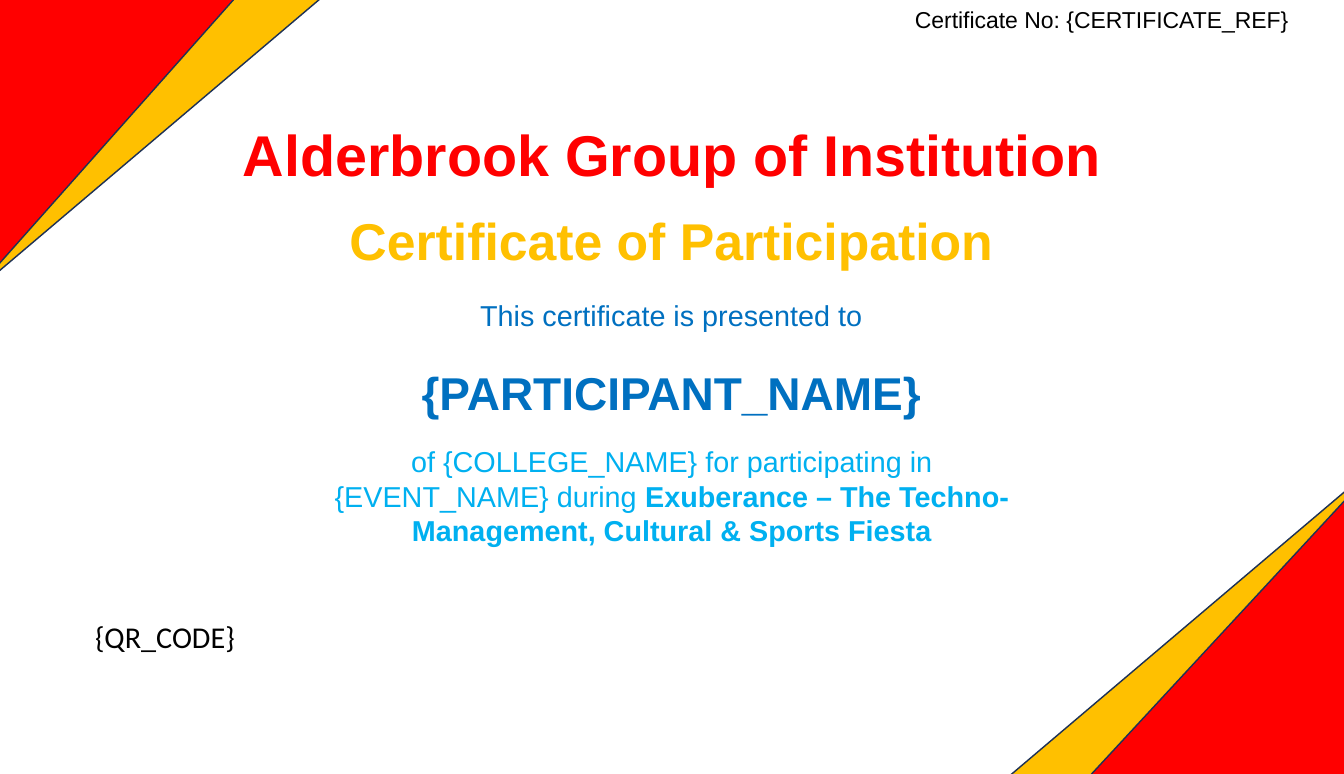
from dataclasses import dataclass

from pptx import Presentation
from pptx.dml.color import RGBColor
from pptx.enum.shapes import MSO_SHAPE
from pptx.enum.text import MSO_ANCHOR, MSO_AUTO_SIZE, PP_ALIGN
from pptx.util import Inches, Pt


@dataclass(frozen=True)
class Theme:
    """Colours, fonts and type sizes of the certificate."""
    paper: str = "FFFFFF"
    ink: str = "000000"
    red: str = "FF0000"
    gold: str = "FFC000"
    blue: str = "0070C0"
    sky: str = "00B0F0"
    edge: str = "1E3256"
    font: str = "Arial"
    code_font: str = "Calibri"
    institution: int = 40
    award: int = 36
    participant: int = 32
    code: int = 21
    body: int = 20
    reference: int = 16


@dataclass(frozen=True)
class Box:
    """A rectangle measured in inches."""
    left: float
    top: float
    width: float
    height: float

    def inside(self, dx, dy, width, height):
        """Return a box offset from this one's top left corner."""
        return Box(self.left + dx, self.top + dy, width, height)

    def lengths(self):
        """Return left, top, width and height as slide lengths."""
        return [Inches(n) for n in (self.left, self.top, self.width, self.height)]


THEME = Theme()
PAGE = Box(0, 0, 12.99, 7.48)


def write(slide, box, *parts, size, color, font=THEME.font, bold=False,
          align=PP_ALIGN.CENTER, holder=None):
    """Write (text, bold) parts or plain strings as one paragraph in a box."""
    if holder is None:
        holder = slide.shapes.add_textbox(*box.lengths())
    else:
        holder.left, holder.top, holder.width, holder.height = box.lengths()
    frame = holder.text_frame
    frame.word_wrap = True
    frame.auto_size = MSO_AUTO_SIZE.SHAPE_TO_FIT_TEXT
    frame.vertical_anchor = MSO_ANCHOR.TOP
    paragraph = frame.paragraphs[0]
    paragraph.alignment = align
    paragraph.line_spacing = 1.0
    paragraph.space_before = Pt(0)
    for part in parts:
        words, heavy = (part, bold) if isinstance(part, str) else part
        run = paragraph.add_run()
        run.text = words
        run.font.name = font
        run.font.size = Pt(size)
        run.font.bold = heavy
        run.font.color.rgb = RGBColor.from_string(color)


def draw_band(slide, box, color, angle):
    """Draw one slanted, outlined band."""
    band = slide.shapes.add_shape(MSO_SHAPE.RECTANGLE, *box.lengths())
    band.rotation = angle
    band.shadow.inherit = False
    band.fill.solid()
    band.fill.fore_color.rgb = RGBColor.from_string(color)
    band.line.color.rgb = RGBColor.from_string(THEME.edge)
    band.line.width = Pt(1)


def draw_corner(slide, box, gold_offset, red_offset, red_length, red_angle):
    """Cover a page corner with a gold band under a red one."""
    draw_band(slide, box.inside(*gold_offset, 5.38, 1.96), THEME.gold, 319.7)
    draw_band(slide, box.inside(*red_offset, red_length, 1.96), THEME.red, red_angle)


def write_award(slide, box):
    """Write the centred wording from institution to event."""
    write(slide, box.inside(0, 0, 8.69, 0.77), "Alderbrook Group of Institution",
          size=THEME.institution, color=THEME.red, bold=True,
          holder=slide.shapes.title)
    lines = [
        (0.87, 0.71, "Certificate of Participation", THEME.award, THEME.gold, True),
        (1.73, 0.44, "This certificate is presented to", THEME.body, THEME.blue, False),
        (2.37, 0.64, "{PARTICIPANT_NAME}", THEME.participant, THEME.blue, True),
    ]
    for dy, height, words, size, color, bold in lines:
        write(slide, box.inside(0.26, dy, 8.16, height), words,
              size=size, color=color, bold=bold)
    write(slide, box.inside(0.89, 3.14, 6.91, 1.11),
          "of {COLLEGE_NAME} for participating in {EVENT_NAME} during ",
          ("Exuberance – The Techno-Management, Cultural & Sports Fiesta", True),
          size=THEME.body, color=THEME.sky)


def write_references(slide, box):
    """Write the certificate number and the code field."""
    write(slide, box.inside(7, 0, 7.3, 0.37), "Certificate No: {CERTIFICATE_REF}",
          size=THEME.reference, color=THEME.ink)
    write(slide, box.inside(0.82, 5.93, 1.59, 0.45), "{QR_CODE}",
          size=THEME.code, color=THEME.ink, font=THEME.code_font,
          align=PP_ALIGN.LEFT)


def main():
    """Build and save the certificate."""
    deck = Presentation()
    deck.slide_width, deck.slide_height = Inches(PAGE.width), Inches(PAGE.height)
    slide = deck.slides.add_slide(deck.slide_layouts[5])
    slide.background.fill.solid()
    slide.background.fill.fore_color.rgb = RGBColor.from_string(THEME.paper)
    draw_corner(slide, PAGE.inside(0, 0, 3.1, 2.62),
                (-1.89, -0.33), (-2.12, -0.58), 5.42, 311.6)
    draw_corner(slide, PAGE.inside(9.78, 4.76, 3.21, 2.72),
                (-0.09, 0.82), (0.14, 0.98), 5.34, 312.8)
    write_award(slide, PAGE.inside(2.15, 1.1, 8.69, 4.25))
    write_references(slide, PAGE)
    deck.save("out.pptx")


if __name__ == "__main__":
    main()
